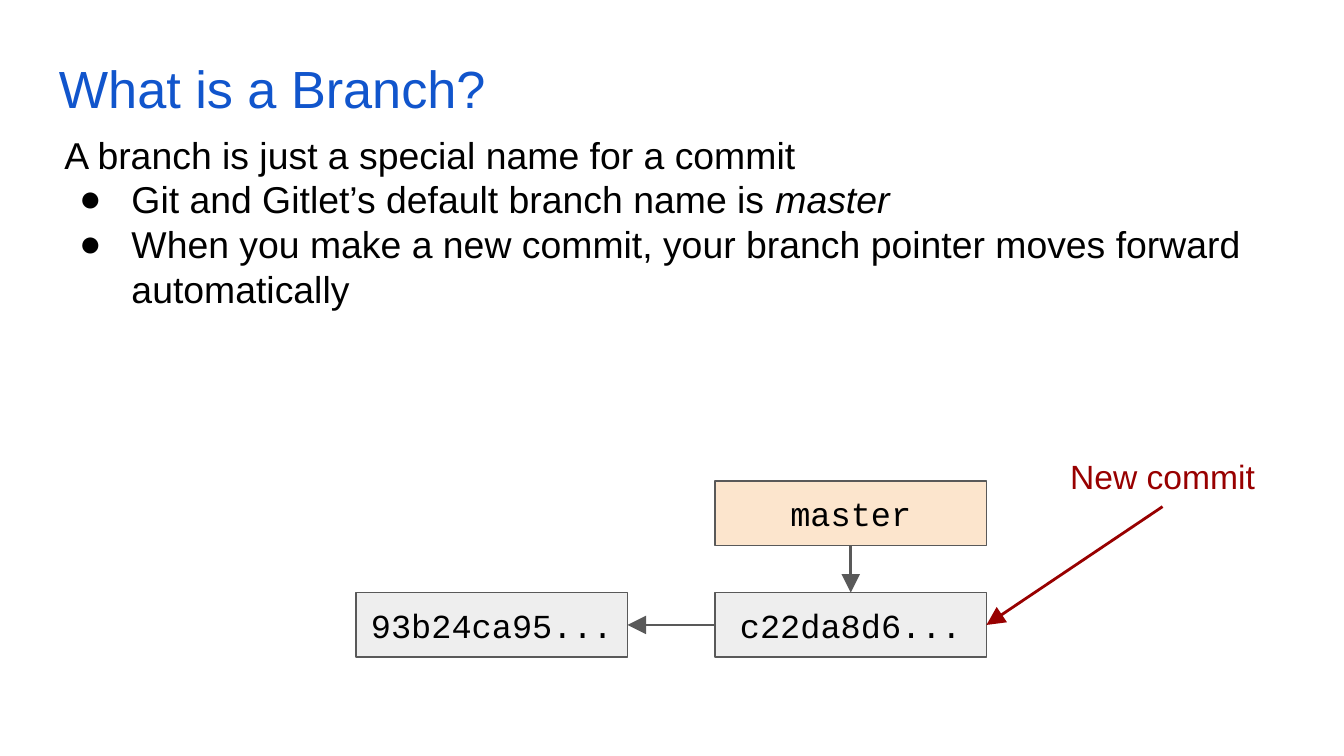
import dataclasses

import pptx
import pptx.dml.color
import pptx.enum.shapes
import pptx.enum.text
import pptx.oxml.ns
import pptx.util
from lxml import etree

Inches = pptx.util.Inches
Pt = pptx.util.Pt
ALIGN = pptx.enum.text.PP_ALIGN
ANCHOR = pptx.enum.text.MSO_ANCHOR


@dataclasses.dataclass(frozen=True)
class Theme:
    sans: str = "Arial"
    mono: str = "Courier New"
    title_size: int = 28
    body_size: int = 20
    label_size: int = 18
    thin: float = 0.75
    thick: float = 1.5
    ink: str = "000000"
    title: str = "1155CC"
    outline: str = "595959"
    commit: str = "EEEEEE"
    branch: str = "FCE5CD"
    accent: str = "980000"


THEME = Theme()
NODE_WIDTH, NODE_HEIGHT = 2.02, 0.48
OLD_LEFT, NEW_LEFT = 2.65, 5.32
BRANCH_TOP, COMMIT_TOP = 3.58, 4.41


def rgb(code):
    return pptx.dml.color.RGBColor.from_string(code)


def add_element(parent, tag, **attributes):
    return etree.SubElement(parent, pptx.oxml.ns.qn(tag), attributes)


def set_frame(shape, anchor):
    frame = shape.text_frame
    frame.word_wrap = True
    frame.vertical_anchor = anchor
    frame.margin_left = frame.margin_right = Inches(0.1)
    frame.margin_top = frame.margin_bottom = Inches(0.1)
    return frame


def add_span(para, text, size, color, font=THEME.sans, italic=False):
    span = para.add_run()
    span.text = text
    span.font.name = font
    span.font.size = Pt(size)
    span.font.italic = italic
    span.font.color.rgb = rgb(color)


def add_box(page, left, top, width, height):
    box = page.shapes.add_textbox(
        Inches(left), Inches(top), Inches(width), Inches(height))
    return set_frame(box, ANCHOR.TOP)


def add_label(page, place, text, size, color, align=ALIGN.LEFT):
    para = add_box(page, *place).paragraphs[0]
    para.alignment = align
    add_span(para, text, size, color)


def set_bullet(para):
    properties = para._p.get_or_add_pPr()
    properties.set("marL", str(Inches(0.5)))
    properties.set("indent", str(Inches(-0.39)))
    color = add_element(properties, "a:buClr")
    add_element(color, "a:srgbClr", val=THEME.ink)
    add_element(properties, "a:buSzPts", val=str(THEME.body_size * 100))
    add_element(properties, "a:buFont", typeface=THEME.sans)
    add_element(properties, "a:buChar", char="●")


def add_body(page, place, intro, bullets):
    """Write an intro line, then bullets given as lists of (text, italic)."""
    frame = add_box(page, *place)
    add_span(frame.paragraphs[0], intro, THEME.body_size, THEME.ink)
    for spans in bullets:
        para = frame.add_paragraph()
        set_bullet(para)
        for text, italic in spans:
            add_span(para, text, THEME.body_size, THEME.ink, italic=italic)


def add_node(page, left, top, text, fill):
    node = page.shapes.add_shape(
        pptx.enum.shapes.MSO_SHAPE.RECTANGLE,
        Inches(left), Inches(top), Inches(NODE_WIDTH), Inches(NODE_HEIGHT))
    node.shadow.inherit = False
    node.fill.solid()
    node.fill.fore_color.rgb = rgb(fill)
    node.line.color.rgb = rgb(THEME.outline)
    node.line.width = Pt(THEME.thin)
    para = set_frame(node, ANCHOR.MIDDLE).paragraphs[0]
    para.alignment = ALIGN.CENTER
    add_span(para, text, THEME.label_size, THEME.ink, THEME.mono)


def add_arrow(page, start, end, color, width):
    arrow = page.shapes.add_connector(
        pptx.enum.shapes.MSO_CONNECTOR.STRAIGHT,
        *(Inches(value) for value in start + end))
    arrow.line.color.rgb = rgb(color)
    arrow.line.width = Pt(width)
    add_element(arrow.line._get_or_add_ln(), "a:tailEnd",
                type="triangle", w="lg", len="lg")
    add_element(arrow._element.spPr, "a:effectLst")


def add_diagram(page):
    add_node(page, NEW_LEFT, COMMIT_TOP, "c22da8d6...", THEME.commit)
    add_node(page, NEW_LEFT, BRANCH_TOP, "master", THEME.branch)
    center = NEW_LEFT + NODE_WIDTH / 2
    middle = COMMIT_TOP + NODE_HEIGHT / 2
    add_arrow(page, (center, BRANCH_TOP + NODE_HEIGHT), (center, COMMIT_TOP),
              THEME.outline, THEME.thick)
    add_node(page, OLD_LEFT, COMMIT_TOP, "93b24ca95...", THEME.commit)
    add_arrow(page, (NEW_LEFT, middle), (OLD_LEFT + NODE_WIDTH, middle),
              THEME.outline, THEME.thin)
    add_arrow(page, (8.65, 3.77), (NEW_LEFT + NODE_WIDTH, middle),
              THEME.accent, THEME.thick)
    add_label(page, (7.79, 3.29, 1.72, 0.48), "New commit",
              THEME.label_size, THEME.accent, ALIGN.CENTER)


def main():
    deck = pptx.Presentation()
    deck.slide_width = Inches(10)
    deck.slide_height = Inches(10) * 9 // 16
    page = deck.slides.add_slide(deck.slide_layouts[6])
    add_body(page, (0.38, 0.88, 9.62, 2.1),
             "A branch is just a special name for a commit",
             [[("Git and Gitlet’s default branch name is ", False),
               ("master", True)],
              [("When you make a new commit, your branch pointer moves "
                "forward automatically", False)]])
    add_label(page, (0.34, 0.32, 9.32, 0.63), "What is a Branch?",
              THEME.title_size, THEME.title)
    add_diagram(page)
    deck.save("out.pptx")


if __name__ == "__main__":
    main()
